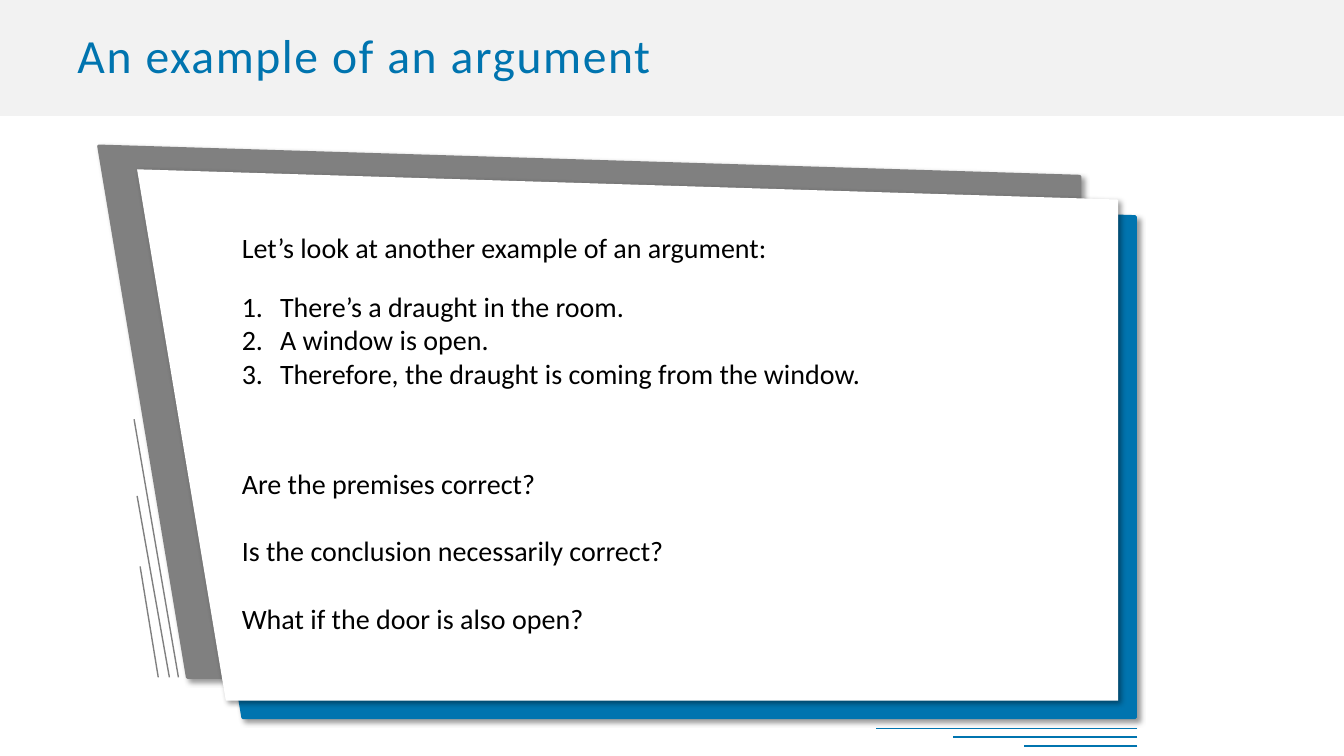
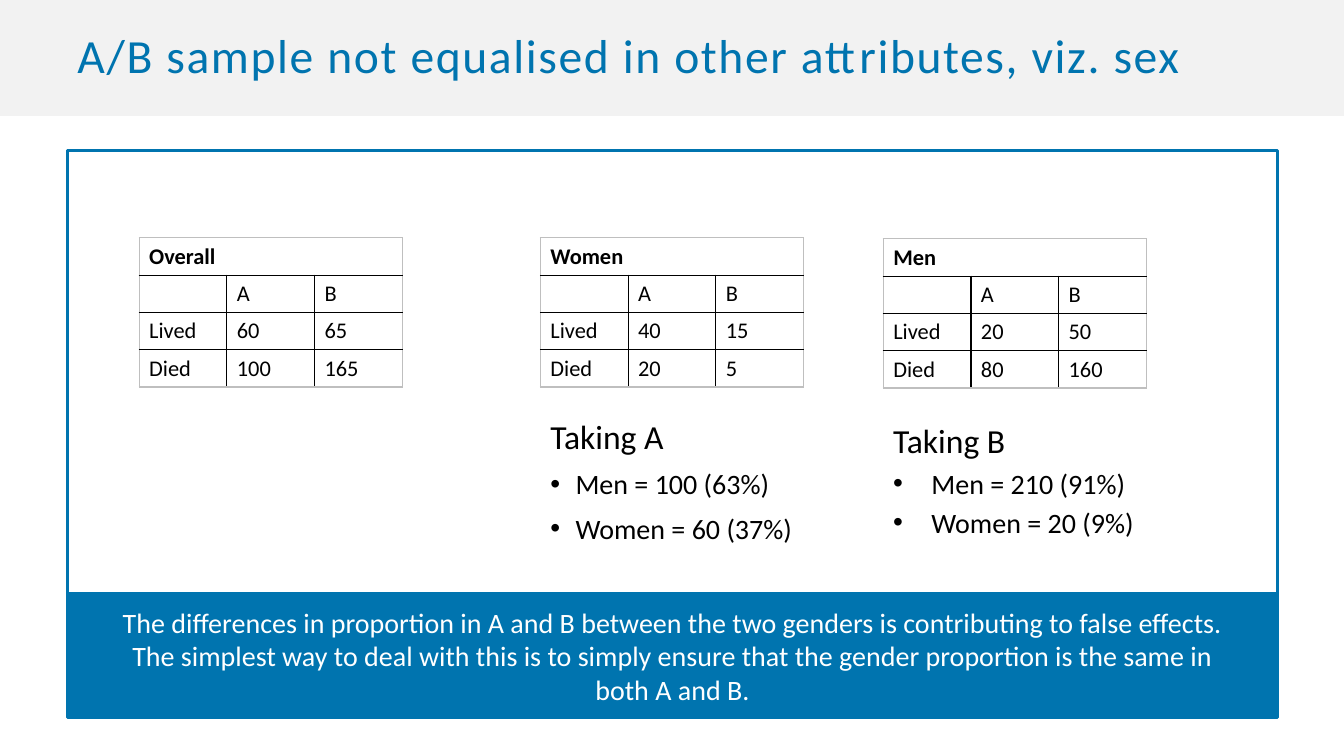
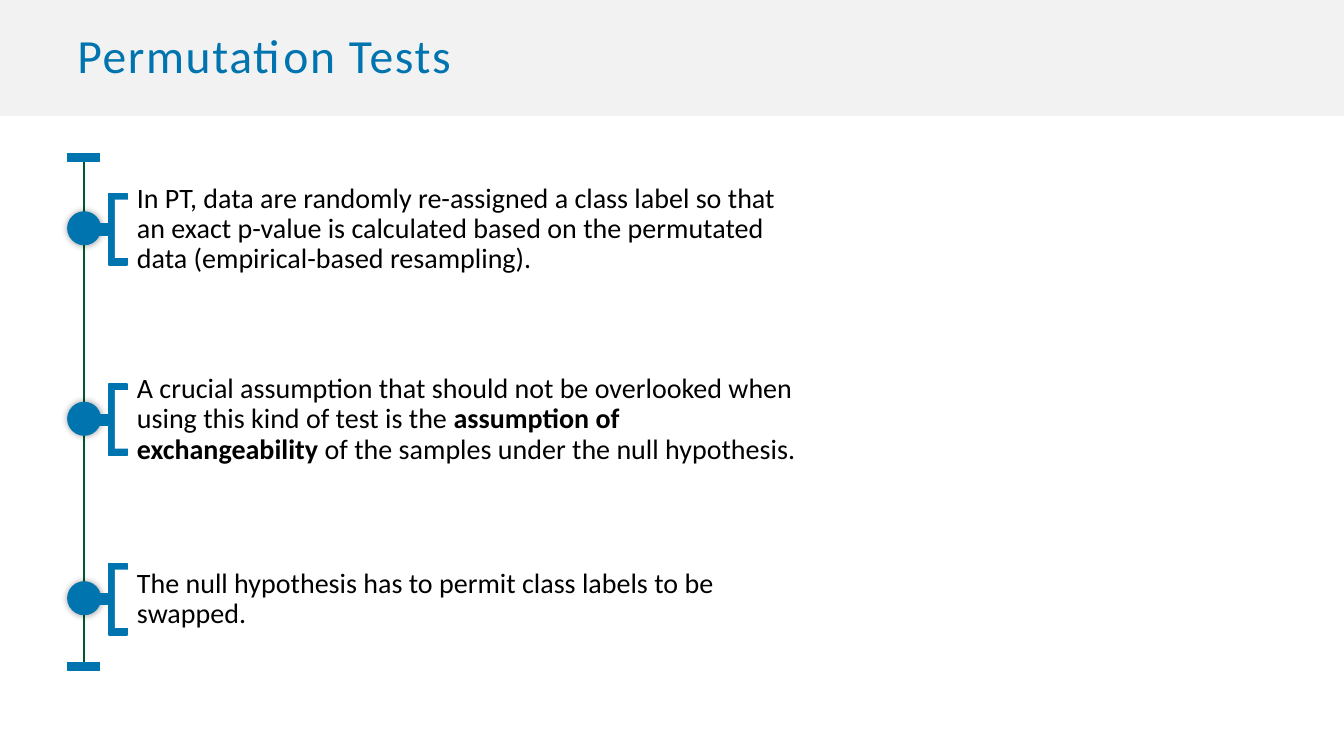
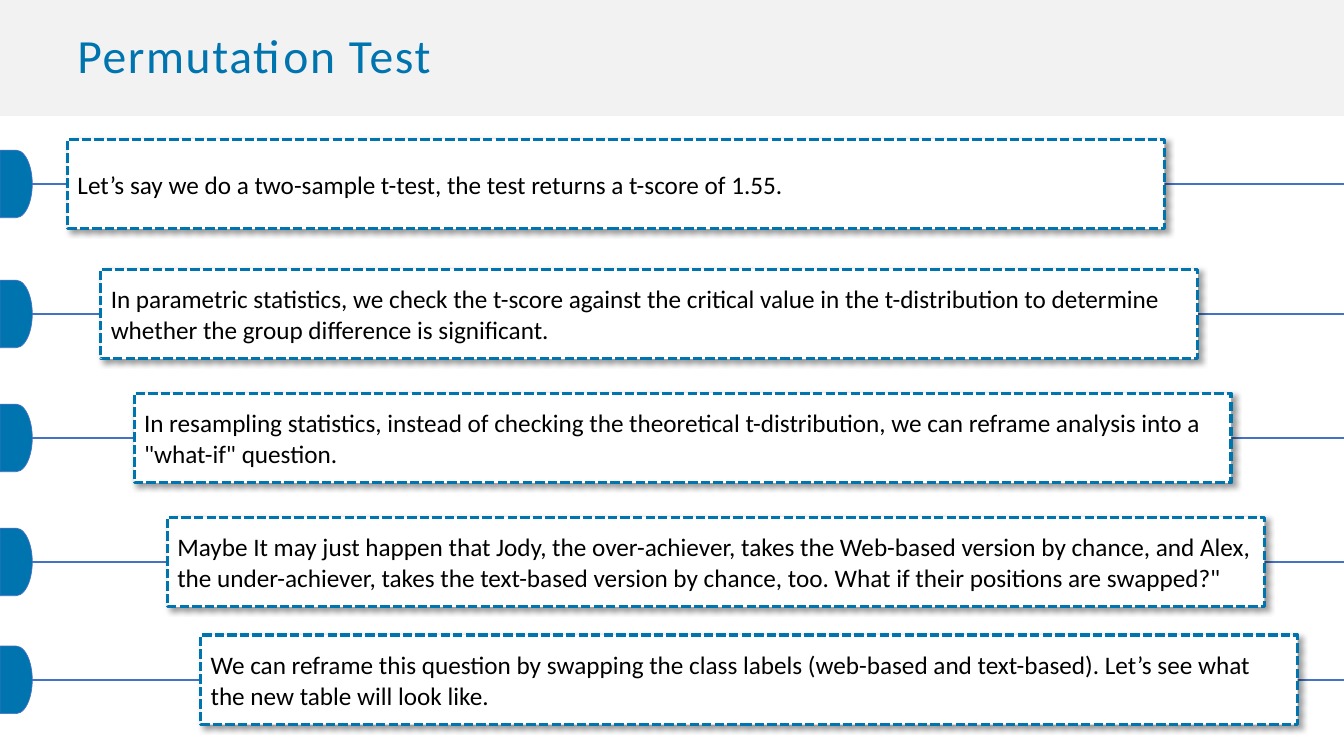
from lxml import etree
from pptx import Presentation
from pptx.dml.color import RGBColor
from pptx.enum.dml import MSO_LINE
from pptx.enum.shapes import MSO_CONNECTOR, MSO_SHAPE
from pptx.enum.text import MSO_ANCHOR as ANCHOR, PP_ALIGN as ALIGN
from pptx.oxml.ns import qn
from pptx.util import Inches, Pt

FONT = "Calibri"
BLUE = RGBColor(0x00, 0x74, 0xAF)
LINE_BLUE = RGBColor(0x44, 0x72, 0xC4)
GREEN = RGBColor(0x00, 0x58, 0x28)
GREY = RGBColor(0x80, 0x80, 0x80)
EDGE_GREY = RGBColor(0xBF, 0xBF, 0xBF)
BAND_GREY = RGBColor(0xF2, 0xF2, 0xF2)
BLACK = RGBColor(0x00, 0x00, 0x00)
WHITE = RGBColor(0xFF, 0xFF, 0xFF)

WIDTH, HEIGHT, BAND = 13.33, 7.5, 1.15
MARGIN, CONTENT = 0.67, 12
CARD_SHADOW = (4, 3, 45)
DOT_SHADOW = (5, 0, 0)


def sub(parent, tag, **attrs):
    return etree.SubElement(parent, qn(tag), {k: str(v) for k, v in attrs.items()})


def style(sp, fill, line=None, weight=1, shadow=None):
    sp.fill.solid()
    sp.fill.fore_color.rgb = fill
    if line is None:
        sp.line.fill.background()
    else:
        sp.line.color.rgb = line
        sp.line.width = Pt(weight)
    sp.shadow.inherit = False
    if shadow:
        blur, dist, angle = shadow
        effects = sp._element.spPr.find(qn("a:effectLst"))
        outer = sub(effects, "a:outerShdw", blurRad=Pt(blur), dist=Pt(dist),
                    dir=angle * 60000, algn="tl", rotWithShape=0)
        color = sub(outer, "a:srgbClr", val=BLACK)
        sub(color, "a:alpha", val=40000)
    return sp


def add_box(slide, x, y, w, h, fill, line=None, weight=1, shadow=None,
            kind=MSO_SHAPE.RECTANGLE):
    sp = slide.shapes.add_shape(kind, Inches(x), Inches(y), Inches(w), Inches(h))
    return style(sp, fill, line, weight, shadow)


def add_line(slide, start, end, color, weight=1):
    points = [Inches(v) for v in (*start, *end)]
    line = slide.shapes.add_connector(MSO_CONNECTOR.STRAIGHT, *points)
    line.line.color.rgb = color
    line.line.width = Pt(weight)
    sub(line._element.spPr, "a:effectLst")


def set_bullet(p, indent, number=False):
    ppr = p._p.get_or_add_pPr()
    ppr.set("marL", str(Inches(indent)))
    ppr.set("indent", str(-Inches(indent)))
    if number:
        sub(ppr, "a:buFont", typeface="+mj-lt")
        sub(ppr, "a:buAutoNum", type="arabicPeriod")
    else:
        sub(ppr, "a:buFont", typeface="Arial")
        sub(ppr, "a:buChar", char="•")


def format_runs(p, size, color=BLACK):
    for r in p.runs:
        r.font.name = FONT
        r.font.size = Pt(size)
        r.font.color.rgb = color


def write(sp, texts, size, color=BLACK, anchor=ANCHOR.TOP, align=ALIGN.LEFT,
          spacing=None, before=0):
    tf = sp.text_frame
    tf.word_wrap = True
    tf.vertical_anchor = anchor
    for i, text in enumerate(texts):
        p = tf.add_paragraph() if i else tf.paragraphs[0]
        p.text = text
        p.alignment = align
        if spacing:
            p.line_spacing = spacing
        if i and before:
            p.space_before = Pt(before)
        format_runs(p, size, color)
    return tf


def add_text(slide, x, y, w, h, texts, size, **options):
    sp = slide.shapes.add_textbox(Inches(x), Inches(y), Inches(w), Inches(h))
    return write(sp, texts, size, **options)


def titled_slide(prs, title):
    slide = prs.slides.add_slide(prs.slide_layouts[6])
    add_box(slide, 0, 0, WIDTH, BAND, BAND_GREY)
    tf = add_text(slide, MARGIN, 0, CONTENT, BAND, [title], 34, color=BLUE,
                  anchor=ANCHOR.MIDDLE, spacing=0.9)
    tf.paragraphs[0].runs[0].font._element.set("spc", "120")
    return slide


def add_sheet(slide, x, y, w, h, fill, line=None):
    corners = [(w, 0.3), (w, h), (0.88, h)]
    builder = slide.shapes.build_freeform(Inches(x), Inches(y))
    builder.add_line_segments(
        [(Inches(x + dx), Inches(y + dy)) for dx, dy in corners], close=True)
    style(builder.convert_to_shape(), fill, line, 2.25, CARD_SHADOW)


def layered_panel(slide, x, y, w, h):
    for dx, dy, fill, line in ((0, 0, GREY, GREY), (0.55, 0.4, BLUE, BLUE),
                               (0.38, 0.23, WHITE, None)):
        add_sheet(slide, x + dx, y + dy, w, h, fill, line)
    for foot, dx, dy in ((0.79, 0.35, 2.71), (0.7, 0.38, 3.47), (0.59, 0.41, 4.17)):
        add_line(slide, (x + foot, y + h), (x + dx, y + dy), GREY)
    for dx, dy in ((7.71, 5.78), (8.47, 5.86), (9.18, 5.95)):
        add_line(slide, (x + 10.3, y + dy), (x + dx, y + dy), BLUE)


def argument_slide(prs):
    slide = titled_slide(prs, "An example of an argument")
    layered_panel(slide, 0.98, 1.45, 9.73, 5.27)
    left, width = 2.3, 7
    add_text(slide, left, 2.24, width, 0.44,
             ["Let’s look at another example of an argument:"], 20)
    steps = add_text(slide, left, 2.82, width, 1.11, [
        "There’s a draught in the room.",
        "A window is open.",
        "Therefore, the draught is coming from the window."], 20)
    for p in steps.paragraphs:
        set_bullet(p, 0.38, number=True)
    add_text(slide, left, 4.58, width, 1.78, [
        "Are the premises correct?",
        "Is the conclusion necessarily correct?",
        "What if the door is also open?"], 20, before=24)


def set_borders(cell, colors):
    tcpr = cell._tc.get_or_add_tcPr()
    for side, color in zip("LRTB", colors):
        line = sub(tcpr, f"a:ln{side}", w=Pt(1))
        sub(sub(line, "a:solidFill"), "a:srgbClr", val=color)


def count_table(slide, x, y, title, lived, died):
    rows = [(title, "", ""), ("", "A", "B"), ("Lived", *lived), ("Died", *died)]
    col, row = 0.87, 0.37
    frame = slide.shapes.add_table(len(rows), 3, Inches(x), Inches(y),
                                   Inches(3 * col), Inches(len(rows) * row))
    table = frame.table
    table.first_row = table.horz_banding = False
    for i, values in enumerate(rows):
        table.rows[i].height = Inches(row)
        for j, value in enumerate(values):
            table.columns[j].width = Inches(col)
            cell = table.cell(i, j)
            outer = (i == 0 or j == 0, i == 0 or j == 2, i == 0, i == len(rows) - 1)
            set_borders(cell, [EDGE_GREY if edge else BLACK for edge in outer])
            cell.fill.solid()
            cell.fill.fore_color.rgb = WHITE
            p = cell.text_frame.paragraphs[0]
            if value:
                p.text = str(value)
                format_runs(p, 16)
                p.runs[0].font.bold = i == 0
            else:
                sub(p._p, "a:endParaRPr", sz=1600)
    table.cell(0, 0).merge(table.cell(0, 2))


def group_list(slide, x, y, title, items, indent, spacing, before):
    tf = add_text(slide, x, y, 2.86, 1.42, [title, *items], 20,
                  spacing=spacing, before=before)
    head, *bullets = tf.paragraphs
    format_runs(head, 24)
    for p in bullets:
        set_bullet(p, indent)


def sample_slide(prs):
    slide = titled_slide(prs, "A/B sample not equalised in other attributes, viz. sex")
    add_box(slide, MARGIN, 1.49, CONTENT, 5.62, WHITE, BLUE, 2.25)
    bar = add_box(slide, MARGIN, 5.89, CONTENT, 1.23, BLUE, BLUE, 2.25)
    write(bar, [
        "The differences in proportion in A and B between the two genders is "
        "contributing to false effects.\v"
        "The simplest way to deal with this is to simply ensure that the gender "
        "proportion is the same in\vboth A and B."],
        20, WHITE, ANCHOR.MIDDLE, ALIGN.CENTER)
    women, men = 5.36, 8.76
    count_table(slide, 1.38, 2.36, "Overall", (60, 65), (100, 165))
    count_table(slide, women, 2.36, "Women", (40, 15), (20, 5))
    count_table(slide, men, 2.37, "Men", (20, 50), (80, 160))
    group_list(slide, women, 4.12, "Taking A",
               ["Men = 100 (63%)", "Women = 60 (37%)"], 0.25, 0.9, 10)
    group_list(slide, men, 4.12, "Taking B",
               ["Men = 210 (91%)", "Women = 20 (9%)"], 0.38, None, 4)


def timeline_item(slide, x, y, parts):
    h, dot, stem = 0.71, 0.33, 0.11
    middle = y + h / 2
    add_box(slide, x, middle - dot / 2 - 0.01, dot, dot, BLUE, BLUE, 0.5,
            DOT_SHADOW, MSO_SHAPE.OVAL)
    add_box(slide, x + 0.3, middle - stem / 2, 0.15, stem, BLUE, BLUE)
    add_box(slide, x + 0.41, y, 0.18, h, BLUE, BLUE)
    add_box(slide, x + 0.47, y + 0.06, 0.17, 0.58, WHITE)
    tf = add_text(slide, x + 0.59, middle - 0.47, 6.77, 0.94, [""], 20,
                  anchor=ANCHOR.MIDDLE, spacing=0.9)
    p = tf.paragraphs[0]
    for i, part in enumerate(parts):
        r = p.add_run()
        r.text = part
        r.font.bold = i == 1
    format_runs(p, 20)


def timeline_slide(prs):
    slide = titled_slide(prs, "Permutation Tests")
    add_line(slide, (0.83, 1.6), (0.83, 6.63), GREEN, 1.5)
    for y in (1.52, 6.57):
        add_box(slide, MARGIN, y, 0.32, 0.08, BLUE, BLUE)
    items = [
        (1.92, ["In PT, data are randomly re-assigned a class label so that an exact "
                "p-value is calculated based on the permutated data "
                "(empirical-based resampling)."]),
        (3.81, ["A crucial assumption that should not be overlooked when using this "
                "kind of test is the ", "assumption of exchangeability ",
                "of the samples under the null hypothesis."]),
        (5.59, ["The null hypothesis has to permit class labels to be swapped."])]
    for y, parts in items:
        timeline_item(slide, MARGIN, y, parts)


def step_row(slide, x, y, text):
    h, tab = 0.89, 0.67
    middle = y + h / 2
    add_line(slide, (0.32, middle), (WIDTH, middle), LINE_BLUE)
    add_box(slide, 0, middle - tab / 2, 0.32, tab, BLUE, LINE_BLUE, 0.5,
            kind=MSO_SHAPE.FLOWCHART_DELAY)
    card = add_box(slide, x, y, 10.88, h, WHITE, BLUE, 2.25, CARD_SHADOW)
    card.line.dash_style = MSO_LINE.SQUARE_DOT
    write(card, [text], 18, anchor=ANCHOR.MIDDLE)


def steps_slide(prs):
    slide = titled_slide(prs, "Permutation Test")
    steps = [
        (1.38, "Let’s say we do a two-sample t-test, the test returns a t-score of 1.55."),
        (2.67, "In parametric statistics, we check the t-score against the critical value "
               "in the t-distribution to determine whether the group difference is "
               "significant."),
        (3.9, "In resampling statistics, instead of checking the theoretical "
              "t-distribution, we can reframe analysis into a \"what-if\" question."),
        (5.13, "Maybe It may just happen that Jody, the over-achiever, takes the Web-based "
               "version by chance, and Alex, the under-achiever, takes the text-based "
               "version by chance, too. What if their positions are swapped?\""),
        (6.3, "We can reframe this question by swapping the class labels (web-based and "
              "text-based). Let’s see what the new table will look like.")]
    for i, (y, text) in enumerate(steps):
        step_row(slide, MARGIN + 0.33 * i, y, text)


def main():
    prs = Presentation()
    prs.slide_width, prs.slide_height = Inches(WIDTH), Inches(HEIGHT)
    for build in (argument_slide, sample_slide, timeline_slide, steps_slide):
        build(prs)
    prs.save("out.pptx")


if __name__ == "__main__":
    main()
